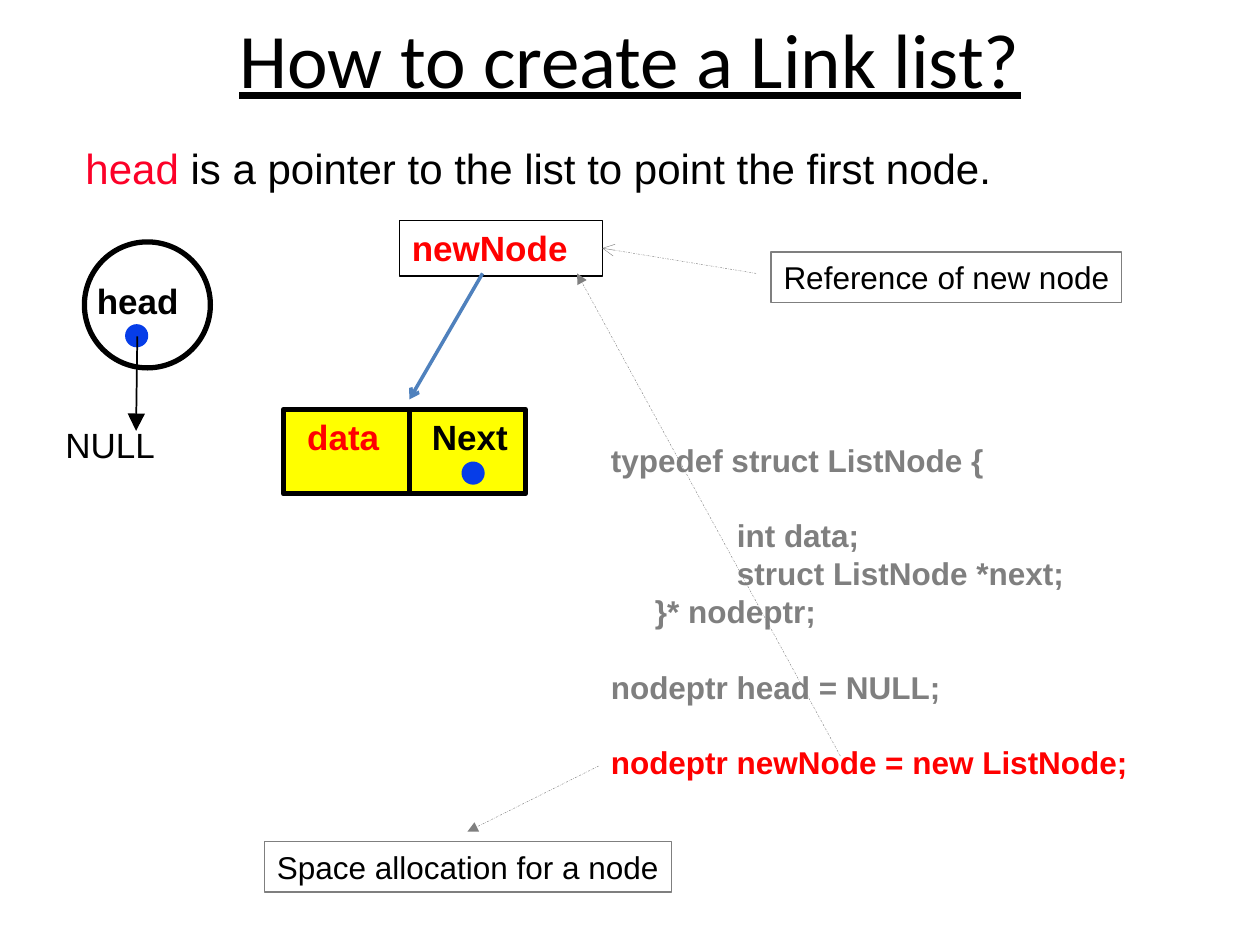
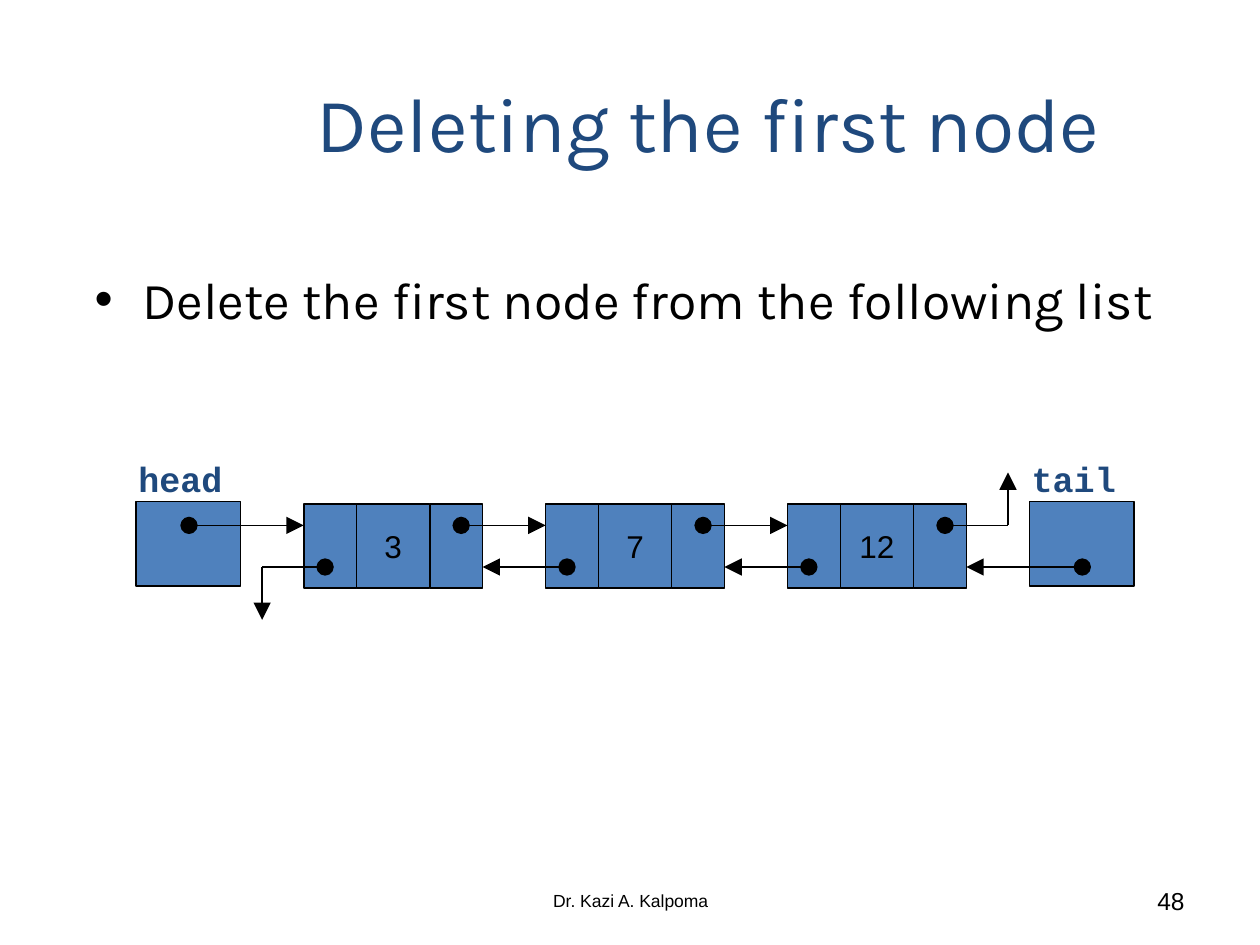
from lxml import etree
from pptx import Presentation
from pptx.dml.color import RGBColor
from pptx.enum.dml import MSO_LINE_DASH_STYLE as Dash
from pptx.enum.shapes import MSO_CONNECTOR as Connector, MSO_SHAPE as Shape
from pptx.enum.text import MSO_ANCHOR as Anchor, MSO_AUTO_SIZE as AutoSize, PP_ALIGN as Align
from pptx.oxml.ns import qn
from pptx.util import Inches, Pt

COLORS = {
    "black": "000000", "white": "FFFFFF", "red": "FF0000", "crimson": "FC0128",
    "grey": "7F7F7F", "yellow": "FFFF00", "dot": "063DE8", "blue": "4F81BD", "navy": "1F497D",
}
TITLE_SIZE = 44
CODE_PITCH = 21.6
CODE_LINES = [
    ("typedef struct ListNode {", 0, 0, "grey"),
    ("int data;", 1, 1, "grey"),
    ("struct ListNode *next;", 1, 0, "grey"),
    ("}* nodeptr;", 0.35, 0, "grey"),
    ("nodeptr head = NULL;", 0, 1, "grey"),
    ("nodeptr newNode = new ListNode;", 0, 1, "red"),
]
POINTER_W, VALUE_W, NODE_H = 0.42, 0.58, 0.67
NODE_W = 2 * POINTER_W + VALUE_W
NODE_PITCH = 1.92
NEXT_Y, PREV_Y = 0.17, 0.5


def rgb(name):
    return RGBColor.from_string(COLORS[name])


def style(paragraph, size, color="black", bold=False, font="Arial", align=Align.LEFT):
    paragraph.alignment = align
    paragraph.font.name = font
    paragraph.font.size = Pt(size)
    paragraph.font.bold = bold
    paragraph.font.color.rgb = rgb(color)


def add_title(slide, text, box, color, font, underline=False):
    title = slide.shapes.title
    title.left, title.top, title.width, title.height = map(Inches, box)
    frame = title.text_frame
    frame.text = text
    frame.auto_size = AutoSize.NONE
    frame.vertical_anchor = Anchor.MIDDLE
    style(frame.paragraphs[0], TITLE_SIZE, color, font=font, align=Align.CENTER)
    frame.paragraphs[0].font.underline = underline


def add_text(slide, text, box, size, color="black", bold=False, font="Arial",
             align=Align.LEFT, anchor=Anchor.TOP, wrap=False):
    frame = slide.shapes.add_textbox(*map(Inches, box)).text_frame
    frame.word_wrap = wrap
    frame.vertical_anchor = anchor
    paragraph = frame.paragraphs[0]
    paragraph.text = text
    style(paragraph, size, color, bold, font, align)
    return frame


def add_figure(slide, kind, box, fill=None, line="black", width=1):
    figure = slide.shapes.add_shape(kind, *map(Inches, box))
    figure.shadow.inherit = False
    if fill:
        figure.fill.solid()
        figure.fill.fore_color.rgb = rgb(fill)
    else:
        figure.fill.background()
    figure.line.color.rgb = rgb(line)
    figure.line.width = Pt(width)
    return figure


def add_labelled_box(slide, text, box, size, color="black", bold=False, line="grey"):
    label = add_figure(slide, Shape.RECTANGLE, box, None, line, 0.75).text_frame
    label.word_wrap = True
    label.margin_right = 0
    label.vertical_anchor = Anchor.TOP
    label.text = text
    style(label.paragraphs[0], size, color, bold)


def add_line(slide, start, end, color="black", width=1, head=None, tail="triangle",
             end_size="lg", dash=None):
    connector = slide.shapes.add_connector(Connector.STRAIGHT, *map(Inches, (*start, *end)))
    connector.line.color.rgb = rgb(color)
    connector.line.width = Pt(width)
    if dash:
        connector.line.dash_style = dash
    outline = connector.line._get_or_add_ln()
    for tag, kind in (("a:headEnd", head), ("a:tailEnd", tail)):
        if kind:
            etree.SubElement(outline, qn(tag), type=kind, w=end_size, len=end_size)
    etree.SubElement(connector._element.spPr, qn("a:effectLst"))


def add_note_line(slide, start, end, tail="triangle"):
    add_line(slide, start, end, "grey", 0.25, tail=tail, end_size="med", dash=Dash.DASH_DOT)


def add_dot(slide, left, top):
    add_figure(slide, Shape.OVAL, (left, top, 0.17, 0.17), "dot", "dot")


def add_code(slide, box):
    frame = slide.shapes.add_textbox(*map(Inches, box)).text_frame
    frame.word_wrap = True
    for index, (text, indent, gap_lines, color) in enumerate(CODE_LINES):
        paragraph = frame.add_paragraph() if index else frame.paragraphs[0]
        paragraph.text = text
        style(paragraph, 18, color, bold=True)
        paragraph.line_spacing = Pt(CODE_PITCH)
        paragraph.space_before = Pt(gap_lines * CODE_PITCH)
        paragraph._p.get_or_add_pPr().set("marL", str(Inches(indent)))


def add_head_pointer(slide, left, top):
    add_text(slide, "head", (left, top + 0.25, 0.85, 0.44), 20, bold=True)
    add_dot(slide, left + 0.33, top + 0.66)
    add_text(slide, "NULL", (left - 0.25, top + 1.39, 0.91, 0.44), 20)
    add_line(slide, (left + 0.42, top + 0.75), (left + 0.41, top + 1.5))
    add_figure(slide, Shape.OVAL, (left, top, 1, 1), width=3)


def add_new_node(slide, left, top):
    for offset, width in ((0, 1), (1, 0.92)):
        add_figure(slide, Shape.RECTANGLE, (left + offset, top, width, NODE_H), "yellow", width=3)
    add_text(slide, "data", (left + 0.09, top, 0.77, 0.44), 20, "red", True)
    add_text(slide, "Next", (left + 1.08, top, 0.8, 0.44), 20, bold=True)
    add_dot(slide, left + 1.42, top + 0.42)


def build_create_slide(slide):
    add_title(slide, "How to create a Link list?", (0.5, -0.17, 9, 1.25), "black", "Calibri", True)
    add_labelled_box(slide, "newNode", (3.17, 1.75, 1.61, 0.44), 20, "red", True, "black")
    add_line(slide, (3.83, 2.17), (3.25, 3.17), "blue", 2, tail="arrow", end_size="med")
    add_code(slide, (4.75, 3.45, 5, 3.1))

    intro = add_text(slide, "", (0.58, 1.08, 7.58, 0.5), 24, wrap=True).paragraphs[0]
    for text, color in (("head ", "crimson"),
                        ("is a pointer to the list to point the first node.", "black")):
        run = intro.add_run()
        run.text = text
        run.font.color.rgb = rgb(color)

    add_note_line(slide, (6.67, 6), (4.58, 2.17))
    add_head_pointer(slide, 0.67, 1.92)
    add_new_node(slide, 2.25, 3.25)
    add_labelled_box(slide, "Space allocation for a node", (2.1, 6.68, 3.23, 0.4), 18)
    add_note_line(slide, (4.75, 6.08), (3.71, 6.6))
    add_labelled_box(slide, "Reference of new node", (6.12, 2, 2.78, 0.4), 18)
    add_note_line(slide, (6, 2.17), (4.78, 1.97), "arrow")


def add_bullet(slide, text, box):
    frame = add_text(slide, text, box, 29.6, font="Karla", wrap=True)
    frame.margin_left = frame.margin_right = 0
    paragraph = frame.paragraphs[0]
    paragraph.line_spacing = 0.8
    paragraph.space_before = Pt(8)
    properties = paragraph._p.get_or_add_pPr()
    properties.set("marL", str(Inches(0.38)))
    properties.set("indent", str(Inches(-0.38)))
    bullet_color = etree.SubElement(properties, qn("a:buClr"))
    etree.SubElement(bullet_color, qn("a:srgbClr"), val=COLORS["black"])
    etree.SubElement(properties, qn("a:buFont"), typeface="Arial")
    etree.SubElement(properties, qn("a:buChar"), char="•")


def add_list_end(slide, name, left, top):
    add_figure(slide, Shape.RECTANGLE, (left, top, 0.83, NODE_H), "blue")
    add_text(slide, name, (left - 0.08, top - 0.4, 1.17, 0.44), 20, "navy", True,
             "Courier New", wrap=True)


def add_list_node(slide, value, left, top):
    for offset, width in ((0, POINTER_W), (POINTER_W, VALUE_W), (POINTER_W + VALUE_W, POINTER_W)):
        add_figure(slide, Shape.RECTANGLE, (left + offset, top, width, NODE_H), "blue")
    add_text(slide, value, (left + POINTER_W, top, VALUE_W, NODE_H), 18,
             align=Align.CENTER, anchor=Anchor.MIDDLE)


def add_linked_list(slide, values, left, top):
    nodes = [left + 1.33 + index * NODE_PITCH for index in range(len(values))]
    next_y, prev_y = top + NEXT_Y, top + PREV_Y
    first, last = nodes[0], nodes[-1]
    tail_left = last + NODE_W + 0.5
    add_list_end(slide, "head", left, top - 0.02)
    add_list_end(slide, "tail", tail_left, top - 0.02)
    for value, node in zip(values, nodes):
        add_list_node(slide, value, node, top)

    add_line(slide, (left + 0.42, next_y), (first, next_y), head="oval")
    add_line(slide, (tail_left + 0.42, prev_y), (last + NODE_W, prev_y), head="oval")
    for node, following in zip(nodes, nodes[1:]):
        add_line(slide, (node + 1.25, next_y), (following, next_y), head="oval")
        add_line(slide, (following + 0.17, prev_y), (node + NODE_W, prev_y), head="oval")
    for dot_x, corner_x, y, rise in ((first + 0.17, first - 0.33, prev_y, 0.42),
                                     (last + 1.25, last + 1.75, next_y, -0.42)):
        add_line(slide, (dot_x, y), (corner_x, y), head="oval", tail=None)
        add_line(slide, (corner_x, y), (corner_x, y + rise))


def add_footer(slide, author, number, top):
    add_text(slide, author, (3.42, top, 3.17, 0.4), 10, align=Align.CENTER,
             anchor=Anchor.MIDDLE, wrap=True)
    add_text(slide, number, (7.17, top, 2.33, 0.4), 14, align=Align.RIGHT,
             anchor=Anchor.MIDDLE, wrap=True)


def build_delete_slide(slide):
    add_title(slide, "Deleting the first node", (2, 0.35, 7.25, 1.23), "navy", "Karla")
    add_bullet(slide, "Delete the first node from the following list", (0.75, 2.17, 8.92, 0.92))
    add_linked_list(slide, ["3", "7", "12"], 1.08, 4)
    add_footer(slide, "Dr. Kazi A. Kalpoma", "48", 6.95)


def main():
    deck = Presentation()
    deck.slide_width, deck.slide_height = Inches(10), Inches(7.5)
    for build in (build_create_slide, build_delete_slide):
        slide = deck.slides.add_slide(deck.slide_layouts[5])
        slide.background.fill.solid()
        slide.background.fill.fore_color.rgb = rgb("white")
        build(slide)
    deck.save("out.pptx")


if __name__ == "__main__":
    main()
